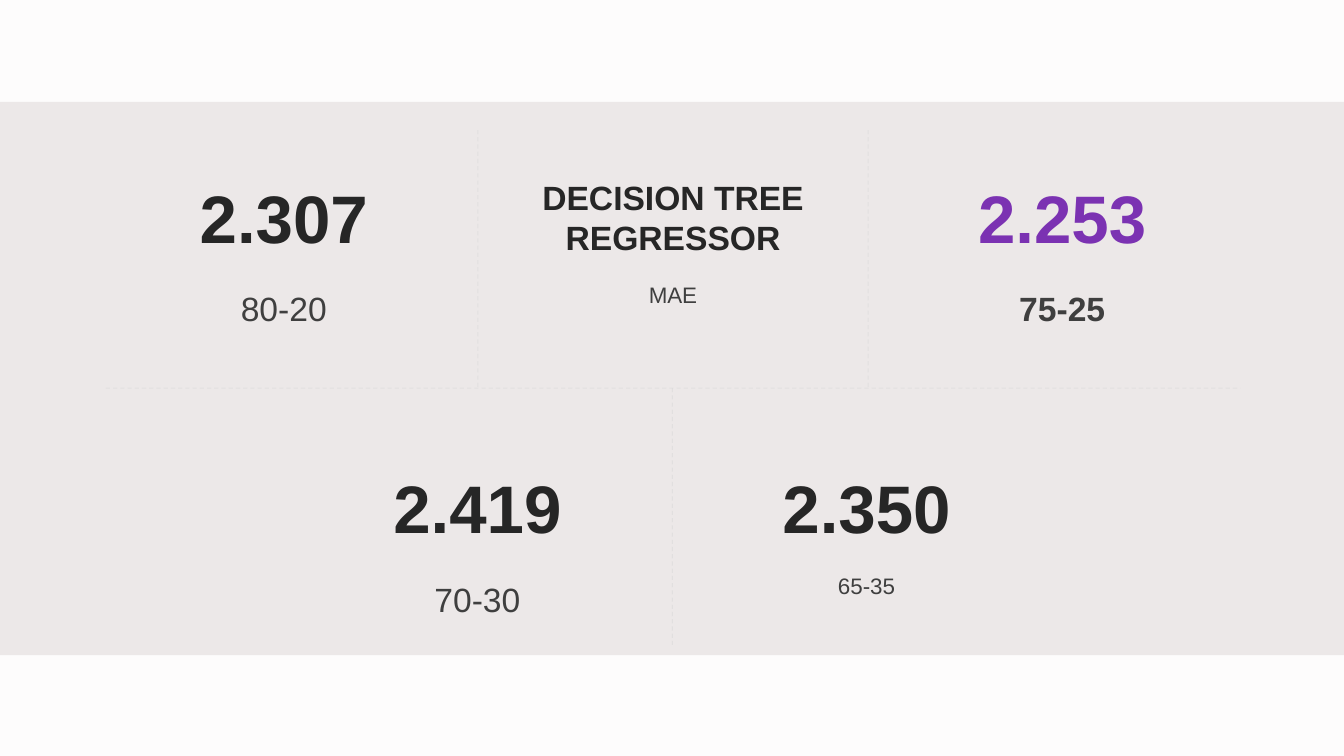
from lxml.etree import SubElement as Sub
from pptx import Presentation
from pptx.dml.color import RGBColor
from pptx.enum.dml import MSO_LINE_DASH_STYLE as Dash
from pptx.enum.shapes import MSO_CONNECTOR as Link, MSO_SHAPE as Shape
from pptx.enum.text import MSO_ANCHOR as Anchor, MSO_AUTO_SIZE as Fit, PP_ALIGN as Align
from pptx.oxml.ns import qn
from pptx.util import Inches, Pt

PAPER = RGBColor(0xFD, 0xFC, 0xFC)
BAND = RGBColor(0xEC, 0xE8, 0xE8)
DARK = RGBColor(0x26, 0x26, 0x26)
GRAY = RGBColor(0x3F, 0x3F, 0x3F)
PURPLE = RGBColor(0x7B, 0x32, 0xB2)
RULE = RGBColor(0xD8, 0xD8, 0xD8)

WIDTH = 13.33
CELL = 3.57
STEP = 3.86
HEAD = 0.91
MID = 3.85


class Board:
    font = "Arial"

    def __init__(self, slide):
        self.slide = slide
        self.shapes = slide.shapes
        fill = slide.background.fill
        fill.solid()
        fill.fore_color.rgb = PAPER

    def band(self, top, height):
        band = self.shapes.add_shape(
            Shape.RECTANGLE, 0, Inches(top), Inches(WIDTH), Inches(height))
        band.shadow.inherit = False
        band.fill.solid()
        band.fill.fore_color.rgb = BAND
        band.line.fill.background()
        self.shapes.title.element.addprevious(band.element)

    def style(self, box, at, text, size, color, bold, space=1.0):
        box.left, box.top, box.width, box.height = map(Inches, at)
        frame = box.text_frame
        frame.word_wrap = True
        frame.auto_size = Fit.NONE
        frame.vertical_anchor = Anchor.TOP
        para = frame.paragraphs[0]
        para.alignment = Align.CENTER
        para.line_spacing = space
        run = para.add_run()
        run.text = text
        font = run.font
        font.name, font.size, font.bold = self.font, Pt(size), bold
        font.color.rgb = color

    def text(self, *look):
        self.style(self.shapes.add_textbox(0, 0, 0, 0), *look)

    def title(self, *look):
        self.style(self.shapes.title, *look)

    def label(self, left, top, text, size, bold=False):
        self.text((left, top + HEAD, CELL, 0.5), text, size, GRAY, bold, 1.5)

    def score(self, left, top, value, split, size=24, color=DARK, bold=False):
        self.text((left, top, CELL, HEAD), value, 48, color, True)
        self.label(left, top, split, size, bold)

    def rule(self, *ends):
        rule = self.shapes.add_connector(Link.STRAIGHT, *map(Inches, ends))
        line = rule.line
        line.color.rgb = RULE
        line.width = Pt(0.75)
        line.dash_style = Dash.DASH
        props = rule.element.spPr
        tone = props.find(".//" + qn("a:srgbClr"))
        Sub(tone, qn("a:alpha"), val="50000")
        Sub(props, qn("a:effectLst"))


def main():
    deck = Presentation()
    deck.slide_width, deck.slide_height = Inches(WIDTH), Inches(7.5)
    board = Board(deck.slides.add_slide(deck.slide_layouts[5]))
    board.band(1.01, 5.49)

    left, top = 1.03, 1.7
    board.score(left, top, "2.307", "80-20")
    board.score(left + 2 * STEP, top, "2.253", "75-25", color=PURPLE, bold=True)
    board.title((left + STEP, top, CELL, HEAD),
                "DECISION TREE REGRESSOR", 24, DARK, True)
    board.label(left + STEP, top, "MAE", 16)

    left, top = 2.95, 4.58
    board.score(left, top, "2.419", "70-30")
    board.score(left + STEP, top, "2.350", "65-35", 16)

    board.rule(1.05, MID, 12.3, MID)
    for x, start in ((4.74, 1.29), (8.61, 1.29), (6.67, MID)):
        board.rule(x, start, x, start + 2.55)
    deck.save("out.pptx")


if __name__ == "__main__":
    main()
